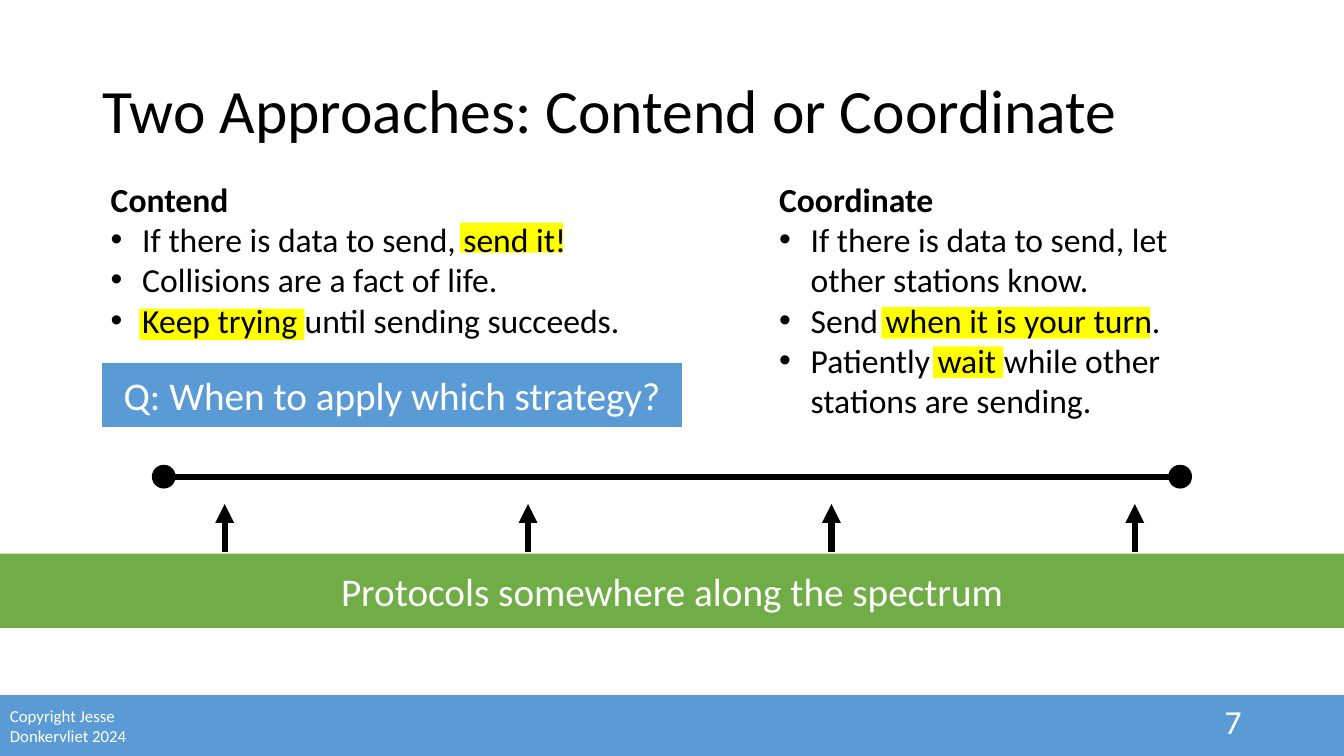
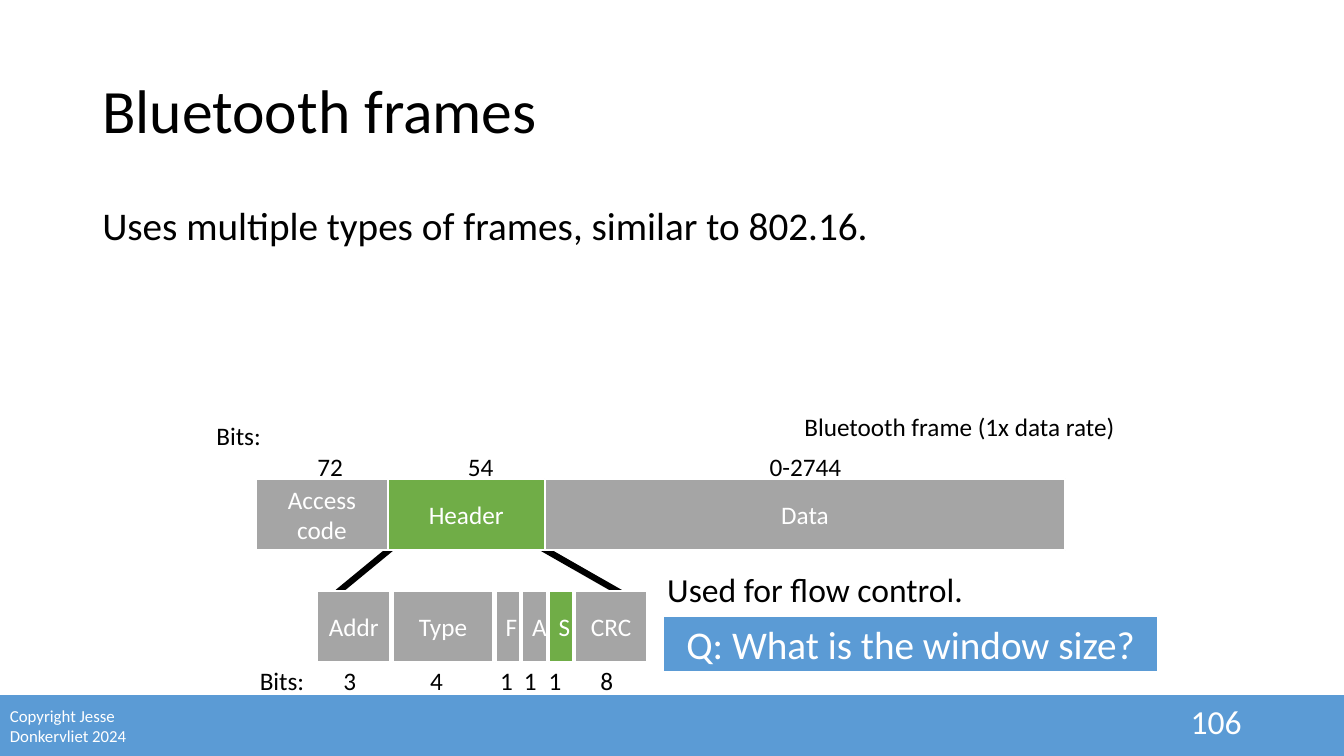
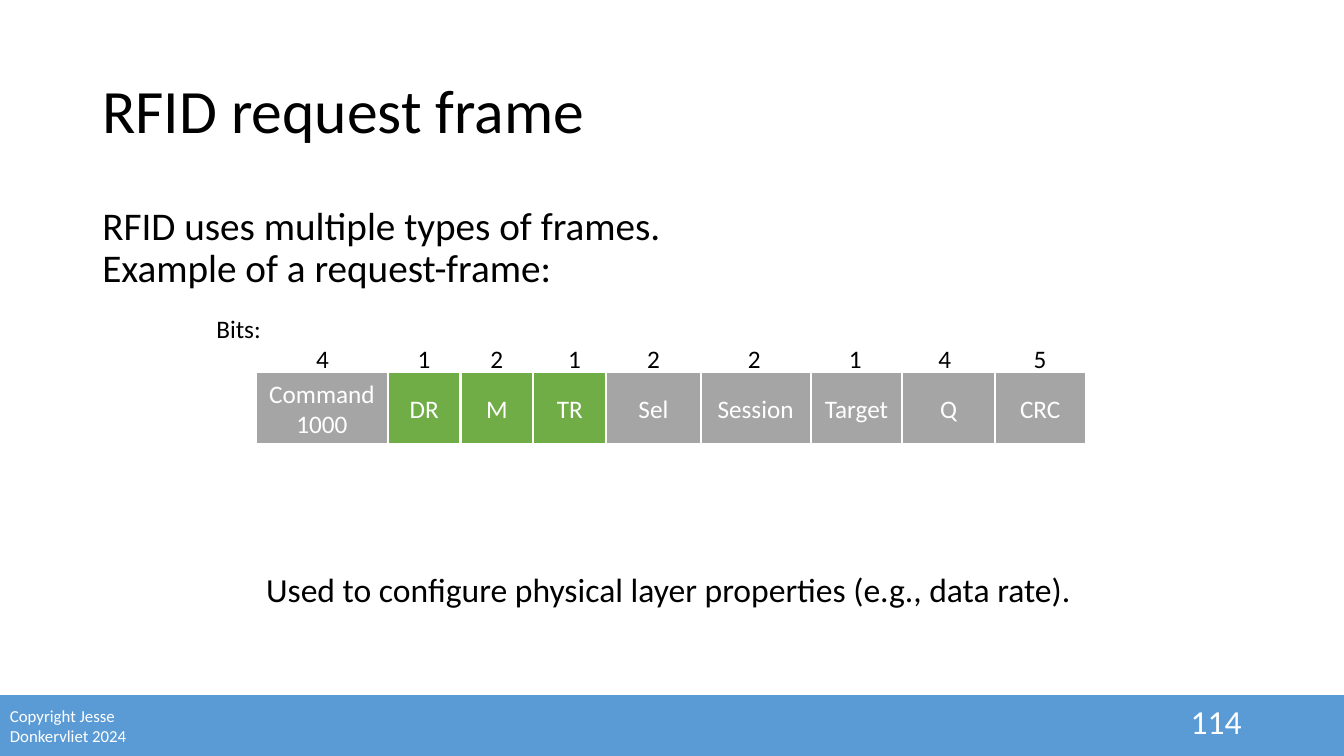
from dataclasses import dataclass

from lxml import etree
from pptx import Presentation
from pptx.dml.color import RGBColor
from pptx.enum.shapes import MSO_CONNECTOR, MSO_SHAPE
from pptx.enum.text import MSO_ANCHOR, PP_ALIGN
from pptx.oxml.ns import qn
from pptx.util import Pt

LEFT, CENTER, RIGHT = PP_ALIGN.LEFT, PP_ALIGN.CENTER, PP_ALIGN.RIGHT
TOP, MIDDLE = MSO_ANCHOR.TOP, MSO_ANCHOR.MIDDLE
RECT, OVAL = MSO_SHAPE.RECTANGLE, MSO_SHAPE.OVAL
STRAIGHT = MSO_CONNECTOR.STRAIGHT


@dataclass(frozen=True)
class Theme:
    font: str = "Calibri"
    black: RGBColor = RGBColor(0x00, 0x00, 0x00)
    white: RGBColor = RGBColor(0xFF, 0xFF, 0xFF)
    blue: RGBColor = RGBColor(0x5B, 0x9B, 0xD5)
    green: RGBColor = RGBColor(0x70, 0xAD, 0x47)
    gray: RGBColor = RGBColor(0xA5, 0xA5, 0xA5)
    yellow: RGBColor = RGBColor(0xFF, 0xFF, 0x00)
    title: int = 44
    body: int = 28
    note: int = 24
    label: int = 18
    copyright: int = 12
    border: float = 1.5
    stroke: float = 4.5


THEME = Theme()


def add_block(slide, box, paragraphs=(), size=THEME.body, color=THEME.black, align=LEFT,
              anchor=TOP, fill=None, border=None, outline=RECT, spacing=None):
    """Add a text box, or a filled shape when fill is given."""
    bounds = [Pt(length) for length in box]
    if fill is None:
        block = slide.shapes.add_textbox(*bounds)
    else:
        block = slide.shapes.add_shape(outline, *bounds)
        block.shadow.inherit = False
        block.fill.solid()
        block.fill.fore_color.rgb = fill
        if border is None:
            block.line.fill.background()
        else:
            block.line.color.rgb = border
            block.line.width = Pt(THEME.border)
    frame = block.text_frame
    frame.word_wrap = True
    frame.vertical_anchor = anchor
    for index, text in enumerate(paragraphs):
        paragraph = frame.add_paragraph() if index else frame.paragraphs[0]
        paragraph.alignment = align
        if spacing:
            paragraph.line_spacing = spacing
        for row, words in enumerate(text.split("\n")):
            if row:
                paragraph.add_line_break()
            run = paragraph.add_run()
            run.text = words
            run.font.name = THEME.font
            run.font.size = Pt(size)
            run.font.color.rgb = color
    return block


def add_stroke(slide, start, end, arrow=False):
    stroke = slide.shapes.add_connector(STRAIGHT, *(Pt(value) for value in (*start, *end)))
    stroke.line.color.rgb = THEME.black
    stroke.line.width = Pt(THEME.stroke)
    if arrow:
        etree.SubElement(stroke.line._get_or_add_ln(), qn("a:tailEnd"), type="triangle")
    etree.SubElement(stroke._element.spPr, qn("a:effectLst"))


deck = Presentation()
deck.slide_width, deck.slide_height = Pt(960), Pt(540)
blank = deck.slide_layouts[6]

# Title, footer band, copyright line and page number
pages = []
for title, number in (
    ("Two Approaches: Contend or Coordinate", "7"),
    ("Bluetooth frames", "106"),
    ("RFID request frame", "114"),
):
    page = deck.slides.add_slide(blank)
    add_block(page, (0, 496.5, 960, 43.5), fill=THEME.blue)
    add_block(page, (0, 500.5, 106, 36), ["Copyright Jesse Donkervliet 2024"],
              THEME.copyright, THEME.white, anchor=MIDDLE)
    add_block(page, (66, 29, 828, 104), [title], THEME.title, anchor=MIDDLE, spacing=0.9)
    add_block(page, (678, 500.5, 216, 29), [number], THEME.note, THEME.white, RIGHT, MIDDLE)
    pages.append(page)
approaches, bluetooth, rfid = pages

# Two approaches: highlights lie behind the words
for highlight in (
    (666.5, 247.5, 50, 22.5),
    (629.5, 219.5, 192, 22.5),
    (99.5, 220.5, 118, 22.5),
    (328.5, 159, 73.5, 21.5),
):
    add_block(approaches, highlight, fill=THEME.yellow)

for box, heading, points in (
    ((72, 124, 384, 124), "Contend", [
        "If there is data to send, send it!",
        "Collisions are a fact of life.",
        "Keep trying until sending succeeds."]),
    ((549.5, 124, 324, 181.5), "Coordinate", [
        "If there is data to send, let other stations know.",
        "Send when it is your turn.",
        "Patiently wait while other stations are sending."]),
):
    column = add_block(approaches, box, [heading, *points], THEME.note)
    head, *bullets = column.text_frame.paragraphs
    head.runs[0].font.bold = True
    for bullet in bullets:
        properties = bullet._p.get_or_add_pPr()
        properties.set("marL", str(Pt(22.5)))
        properties.set("indent", str(-Pt(22.5)))
        etree.SubElement(properties, qn("a:buFont"), typeface="Arial")
        etree.SubElement(properties, qn("a:buChar"), char="•")

# Spectrum from contention to coordination
spectrum_y, spectrum_ends, dot = 340.5, (117, 843), 17
add_stroke(approaches, (spectrum_ends[0], spectrum_y), (spectrum_ends[1], spectrum_y))
for end_x in spectrum_ends:
    add_block(approaches, (end_x - dot / 2, spectrum_y - dot / 2, dot, dot),
              fill=THEME.black, outline=OVAL)
for step in range(4):
    protocol_x = 160.5 + 216.7 * step
    add_stroke(approaches, (protocol_x, 394.5), (protocol_x, 360), arrow=True)
add_block(approaches, (0, 395.5, 960, 53), ["Protocols somewhere along the spectrum"],
          color=THEME.white, align=CENTER, anchor=MIDDLE, fill=THEME.green)

# Body text, notes and questions
for page, text in (
    (bluetooth, "Uses multiple types of frames, similar to 802.16."),
    (rfid, "RFID uses multiple types of frames.\nExample of a request-frame:"),
):
    add_block(page, (66, 144, 828, 343), [text], spacing=0.9)
for page, box, text, size in (
    (bluetooth, (567.5, 290, 291, 29), "Bluetooth frame (1x data rate)", THEME.label),
    (bluetooth, (469.5, 402.5, 358.5, 36), "Used for flow control.", THEME.note),
    (rfid, (183, 402.5, 645, 36),
     "Used to configure physical layer properties (e.g., data rate).", THEME.note),
):
    add_block(page, box, [text], size)
for page, box, question in (
    (approaches, (72, 258.5, 416, 47.5), "Q: When to apply which strategy?"),
    (bluetooth, (473.5, 440, 354, 40), "Q: What is the window size?"),
):
    add_block(page, box, [question], color=THEME.white, align=CENTER, anchor=MIDDLE,
              fill=THEME.blue, border=THEME.white)

# Lines that open the header into its fields
add_stroke(bluetooth, (287.5, 385), (234, 429))
add_stroke(bluetooth, (375, 384.5), (453, 429))

# Frame fields: name, width, fill, bits, centre of the bits
field_height, inset = 51, 7.2
bluetooth_fields = (
    ("Access code", 94, THEME.gray, "72", 236),
    ("Header", 112, THEME.green, "54", 343.5),
    ("Data", 372, THEME.gray, "0-2744", 575.5),
)
header_fields = (
    ("Addr", 52.5, THEME.gray, "3", 250),
    ("Type", 72, THEME.gray, "4", 312),
    ("F", 17.5, THEME.gray, "1", 362),
    ("A", 17.5, THEME.gray, "1", 379),
    ("S", 17.5, THEME.green, "1", 396.5),
    ("CRC", 51, THEME.gray, "8", 433.5),
)
request_fields = (
    ("Command|1000", 94, THEME.gray, "4", 230.5),
    ("DR", 52, THEME.green, "1", 303),
    ("M", 52, THEME.green, "2", 355),
    ("TR", 52, THEME.green, "1", 410.5),
    ("Sel", 67.5, THEME.gray, "2", 467),
    ("Session", 78.5, THEME.gray, "2", 539),
    ("Target", 65.5, THEME.gray, "1", 611),
    ("Q", 66, THEME.gray, "4", 675),
    ("CRC", 65, THEME.gray, "5", 743),
)
for page, left, top, gap, fields, bits_box, bits_lines, anchor in (
    (bluetooth, 183, 342, 0, bluetooth_fields, (147.5, 304.5, 703, 35), ["Bits:", ""], MIDDLE),
    (bluetooth, 226.5, 422, 1.5, header_fields, (178.5, 471.5, 274, 29), ["Bits:"], TOP),
    (rfid, 183, 266, 0, request_fields, (147.5, 228, 703, 35), ["Bits:", ""], MIDDLE),
):
    for name, width, fill, _, _ in fields:
        add_block(page, (left, top, width, field_height), name.split("|"), THEME.label,
                  THEME.white, CENTER, MIDDLE, fill, THEME.white)
        left += width + gap
    bits_lines[-1] += "".join(f"\t{bits}" for _, _, _, bits, _ in fields)
    bits_block = add_block(page, bits_box, bits_lines, THEME.label, anchor=anchor)
    tabs = etree.SubElement(bits_block.text_frame.paragraphs[-1]._p.get_or_add_pPr(),
                            qn("a:tabLst"))
    for *_, bits_x in fields:
        etree.SubElement(tabs, qn("a:tab"), pos=str(Pt(bits_x - bits_box[0] - inset)),
                         algn="ctr")

deck.save("out.pptx")
